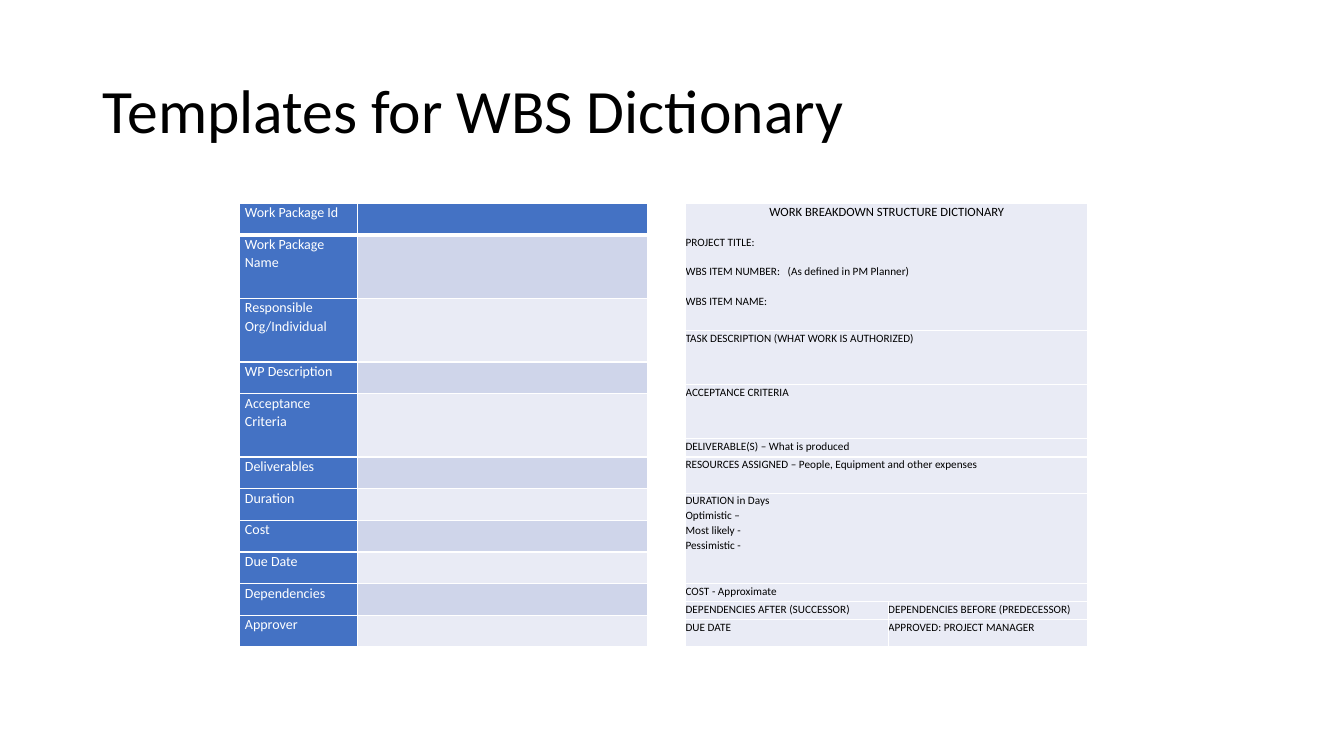
from dataclasses import dataclass

from lxml import etree
from pptx import Presentation
from pptx.dml.color import RGBColor
from pptx.enum.text import MSO_ANCHOR, PP_ALIGN
from pptx.oxml.ns import qn
from pptx.util import Inches, Pt

LEFT, CENTER = PP_ALIGN.LEFT, PP_ALIGN.CENTER
TOP, MIDDLE = MSO_ANCHOR.TOP, MSO_ANCHOR.MIDDLE
FONT = "Calibri"
COLORS = {
    "black": "000000",
    "white": "FFFFFF",
    "blue": "4472C4",
    "band": "CFD5EA",
    "pale": "E9EBF5",
}
SLIDE_W, SLIDE_H = Inches(13.33), Inches(7.5)
COL, ROW = SLIDE_W / 100, SLIDE_H / 100


@dataclass
class Line:
    text: str
    size: float = 8
    align: PP_ALIGN = LEFT
    before: float = 0


@dataclass
class Cell:
    lines: list[Line]
    fill: str = "pale"
    color: str = "black"
    inset: float = 0
    bottom: float = 1


@dataclass
class TableRow:
    units: float
    cells: list[Cell]


@dataclass
class Grid:
    left: float
    top: float
    height: float
    widths: list[float]
    rows: list[TableRow]


def rgb(name: str) -> RGBColor:
    return RGBColor.from_string(COLORS[name])


def add_border(tc_pr: etree._Element, side: str, width: float) -> None:
    ln = etree.SubElement(tc_pr, qn(f"a:ln{side}"), w=str(Pt(width)))
    fill = etree.SubElement(ln, qn("a:solidFill"))
    etree.SubElement(fill, qn("a:srgbClr"), val=COLORS["white"])


def format_cell(cell, spec_cell: Cell) -> None:
    tc_pr = cell._tc.get_or_add_tcPr()
    for side in "LRTB":
        add_border(tc_pr, side, spec_cell.bottom if side == "B" else 1)
    cell.fill.solid()
    cell.fill.fore_color.rgb = rgb(spec_cell.fill)
    cell.margin_left = cell.margin_right = Inches(spec_cell.inset)
    cell.margin_top = cell.margin_bottom = 0
    cell.vertical_anchor = TOP
    tf = cell.text_frame
    if not spec_cell.lines:
        etree.SubElement(tf.paragraphs[0]._p, qn("a:endParaRPr"), sz="1000")
        return
    tf.text = "\n".join(line.text for line in spec_cell.lines)
    for p, line in zip(tf.paragraphs, spec_cell.lines):
        p.alignment = line.align
        p.line_spacing = 1.07
        if line.before:
            p.space_before = Pt(line.before)
        for r in p.runs:
            r.font.name = FONT
            r.font.size = Pt(line.size)
            r.font.bold = False
            r.font.color.rgb = rgb(spec_cell.color)


def draw_table(s, grid: Grid) -> None:
    frame = s.shapes.add_table(
        len(grid.rows), len(grid.widths),
        round(grid.left * COL), round(grid.top * ROW),
        round(sum(grid.widths) * COL), round(grid.height * ROW))
    table = frame.table
    table.first_row = table.horz_banding = False
    for column, width in zip(table.columns, grid.widths):
        column.width = round(width * COL)
    unit = grid.height * ROW / sum(row.units for row in grid.rows)
    for i, row in enumerate(grid.rows):
        table.rows[i].height = round(row.units * unit)
        if len(row.cells) < len(grid.widths):
            table.cell(i, 0).merge(table.cell(i, len(grid.widths) - 1))
        for j, spec_cell in enumerate(row.cells):
            format_cell(table.cell(i, j), spec_cell)


def package_row(index: int, label: str, units: float) -> TableRow:
    bottom = 3 if index == 0 else 1
    fill = "blue" if index == 0 else ("pale", "band")[index % 2]
    return TableRow(units, [
        Cell([Line(label, 10)], "blue", "white", 0.06, bottom),
        Cell([], fill, bottom=bottom),
    ])


def form_row(units: float, *texts: str) -> TableRow:
    return TableRow(units, [Cell([Line(text)]) for text in texts])


PACKAGE_FIELDS = [
    ("Work Package Id", 1),
    ("Work Package Name", 2),
    ("Responsible Org/Individual", 2),
    ("WP Description", 1),
    ("Acceptance Criteria", 2),
    ("Deliverables", 1),
    ("Duration", 1),
    ("Cost", 1),
    ("Due Date", 1),
    ("Dependencies", 1),
    ("Approver", 1),
]
HEADING = Cell([
    Line("WORK BREAKDOWN STRUCTURE DICTIONARY", 9, CENTER),
    Line("PROJECT TITLE:", before=10.5),
    Line("WBS ITEM NUMBER:   (As defined in PM Planner)", before=10.5),
    Line("WBS ITEM NAME:", before=10.5),
])
DURATION = Cell([Line(text) for text in (
    "DURATION in Days", "Optimistic –", "Most likely -", "Pessimistic -")])

PACKAGE_TABLE = Grid(17.78, 26.93, 58.67, [8.85, 21.53], [
    package_row(i, label, units)
    for i, (label, units) in enumerate(PACKAGE_FIELDS)])
FORM_TABLE = Grid(51.01, 26.93, 58.67, [15.08, 14.85], [
    TableRow(7, [HEADING]),
    form_row(3, "TASK DESCRIPTION (WHAT WORK IS AUTHORIZED)"),
    form_row(3, "ACCEPTANCE CRITERIA"),
    form_row(1, "DELIVERABLE(S) – What is produced"),
    form_row(2, "RESOURCES ASSIGNED – People, Equipment and other expenses"),
    TableRow(5, [DURATION]),
    form_row(1, "COST - Approximate"),
    form_row(1, "DEPENDENCIES AFTER (SUCCESSOR)",
             "DEPENDENCIES BEFORE (PREDECESSOR)"),
    form_row(1.5, "DUE DATE", "APPROVED: PROJECT MANAGER"),
])


def draw_title(s, text: str) -> None:
    sp = s.shapes.title
    sp.left, sp.top = round(6.9 * COL), round(5.33 * ROW)
    sp.width, sp.height = round(86.27 * COL), round(19.33 * ROW)
    tf = sp.text_frame
    tf.text = text
    tf.vertical_anchor = MIDDLE
    p = tf.paragraphs[0]
    p.alignment = LEFT
    p.line_spacing = 0.9
    r = p.runs[0]
    r.font.name = FONT
    r.font.size = Pt(44)
    r.font.color.rgb = rgb("black")


def main() -> None:
    prs = Presentation()
    prs.slide_width, prs.slide_height = SLIDE_W, SLIDE_H
    s = prs.slides.add_slide(prs.slide_layouts[5])
    draw_title(s, "Templates for WBS Dictionary")
    for grid in (PACKAGE_TABLE, FORM_TABLE):
        draw_table(s, grid)
    prs.save("out.pptx")


if __name__ == "__main__":
    main()
